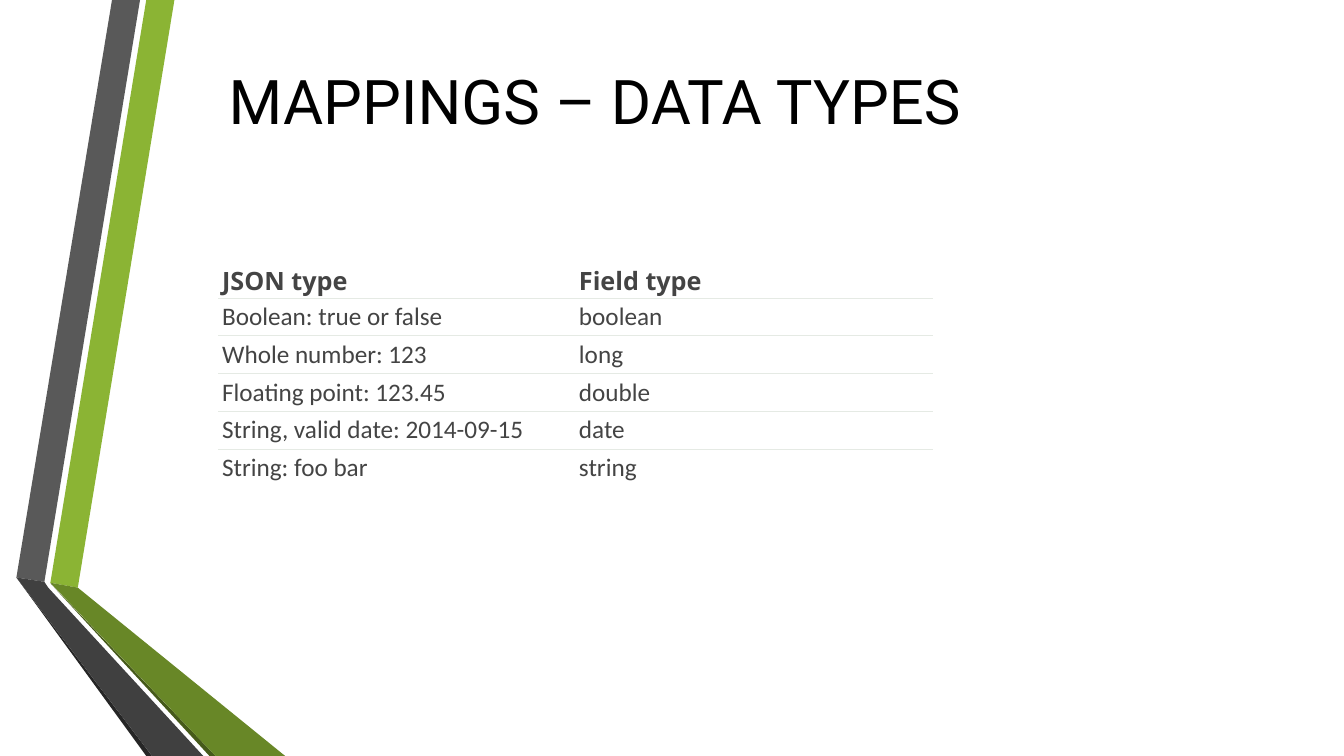
from lxml.etree import SubElement
from pptx import Presentation
from pptx.dml.color import RGBColor
from pptx.enum.text import MSO_ANCHOR, MSO_AUTO_SIZE, PP_ALIGN
from pptx.oxml import parse_xml
from pptx.oxml.ns import nsdecls, qn
from pptx.util import Pt

HUES = {
    "lime": "8BB434", "grey": "595959", "black": "262626", "moss": "465A1A",
    "green": "688727", "dark": "404040", "title": "000000", "text": "444444",
    "rule": "E5EAE4", "white": "FFFFFF",
}
BANDS = [
    ("lime", [(36, 416.3), (55.6, 419.8), (124.6, 0), (104.5, 0)]),
    ("grey", [(100, 0), (80, 0), (11.7, 412.5), (31.7, 415.6)]),
    ("black", [(11.7, 412.5), (104.5, 540), (108.6, 540)]),
    ("moss", [(36, 416.7), (149.6, 540), (154, 540)]),
    ("green", [(36, 416.3), (154, 540), (203.7, 540), (55.6, 419.8)]),
    ("dark", [(145.2, 540), (34.5, 419.8), (31.7, 415.6), (11.7, 412.5), (108.6, 540)]),
]
ROWS = [
    ("JSON type", "Field type"),
    ("Boolean: true or false", "boolean"),
    ("Whole number: 123", "long"),
    ("Floating point: 123.45", "double"),
    ("String, valid date: 2014-09-15", "date"),
    ("String: foo bar", "string"),
]


def hue(name):
    """Return the named colour."""
    return RGBColor.from_string(HUES[name])


def style(frame, face, size, tint, bold=False):
    """Format all runs of a text frame."""
    for part in frame.paragraphs:
        part.alignment = PP_ALIGN.LEFT
        for run in part.runs:
            font = run.font
            font.name, font.size, font.bold = face, Pt(size), bold
            font.color.rgb = hue(tint)


def add_bands(slide, left, top):
    """Draw the folded ribbons from the given corner."""
    for name, spots in BANDS:
        first, *rest = [(Pt(left + x), Pt(top + y)) for x, y in spots]
        pen = slide.shapes.build_freeform(*first)
        pen.add_line_segments(rest, close=True)
        band = pen.convert_to_shape()
        band.shadow.inherit = False
        band.fill.solid()
        band.fill.fore_color.rgb = hue(name)
        band.line.fill.background()


def add_title(slide, left, top, width, height):
    """Place and format the title."""
    title = slide.shapes.title
    title.left, title.top = Pt(left), Pt(top)
    title.width, title.height = Pt(width), Pt(height)
    frame = title.text_frame
    frame.text = "MAPPINGS – DATA TYPES"
    frame.word_wrap = True
    frame.auto_size = MSO_AUTO_SIZE.NONE
    frame.vertical_anchor = MSO_ANCHOR.MIDDLE
    style(frame, "Roboto", 44, "title")


def add_rule(cell, side):
    """Draw a thin border on one side of a cell."""
    edge = parse_xml(f'<a:{side} {nsdecls("a")} w="{Pt(0.68)}"/>')
    fill = SubElement(edge, qn("a:solidFill"))
    SubElement(fill, qn("a:srgbClr"), val=HUES["rule"])
    cell._tc.get_or_add_tcPr().insert(0, edge)


def add_types(slide, left, top, width, height):
    """Draw the table of data types."""
    table = slide.shapes.add_table(
        len(ROWS), 2, Pt(left), Pt(top), Pt(width), Pt(height)).table
    table.first_row = table.horz_banding = False
    for r, texts in enumerate(ROWS):
        table.rows[r].height = Pt(height / len(ROWS))
        head = r == 0
        for c, text in enumerate(texts):
            cell = table.cell(r, c)
            cell.text_frame.text = text
            cell.margin_left = cell.margin_right = cell.margin_top = Pt(2.5)
            cell.margin_bottom = Pt(0 if head else 2.5)
            cell.fill.solid()
            cell.fill.fore_color.rgb = hue("white")
            style(cell.text_frame, "Open Sans" if head else "Calibri", 18, "text", head)
            if r < len(ROWS) - 1:
                add_rule(cell, "lnB")
            if not head:
                add_rule(cell, "lnT")


def main():
    """Build and save the slide."""
    deck = Presentation()
    deck.slide_width, deck.slide_height = Pt(960), Pt(540)
    slide = deck.slides.add_slide(deck.slide_layouts[5])
    add_bands(slide, 0, 0)
    add_title(slide, 156.2, 41, 566, 60.5)
    add_types(slide, 156.2, 185.8, 509.8, 162)
    deck.save("out.pptx")


if __name__ == "__main__":
    main()
